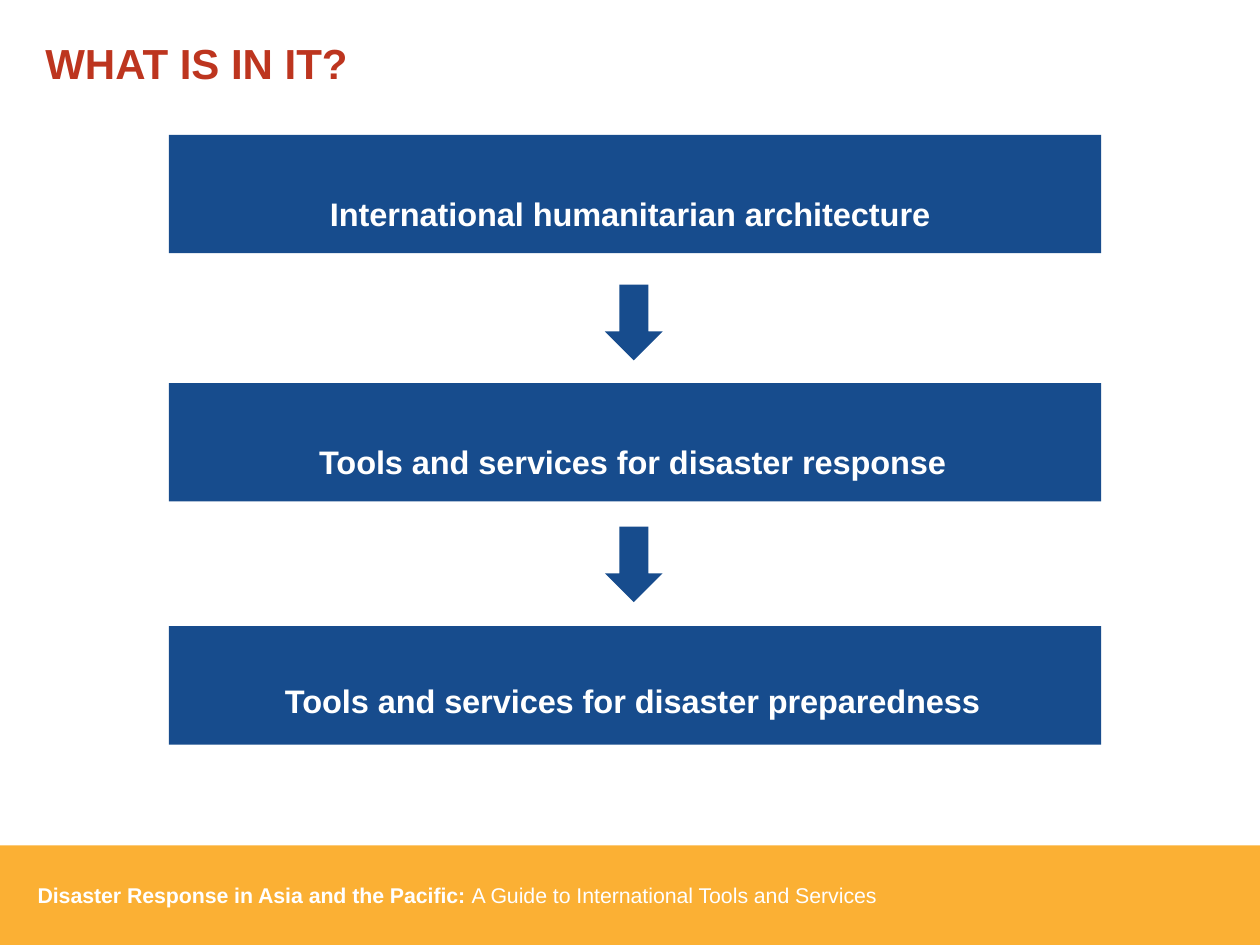
from pptx import Presentation, util as u
from pptx.dml.color import RGBColor
from pptx.enum import shapes, text

BLUE, GOLD, RED, WHITE = "174C8D", "FBB034", "BD351F", "FFFFFF"
WIDE, HIGH = 10, 7.5
TITLE = "WHAT IS IN IT?"
FOOT = [("Disaster Response in Asia and the Pacific: ", True),
        ("A Guide to International Tools and Services", False)]
STEPS = [("International humanitarian architecture", 1.07, 0.37, 8.5, 5),
         ("Tools and services for disaster response", 3.04, 0.37, 9.1, 5.02),
         ("Tools and services for disaster preparedness", 4.97, 0.33, 9.1, 5.02)]
ARROWS = [2.33, 4.25]
MID = 5.03
BOX = 7.4, 0.94
ARROW = 0.6, 0.46
BAND = 0.79


def place(left, top, wide, high):
    return [u.Inches(n) for n in (left, top, wide, high)]


def paint(fill, color):
    fill.solid()
    fill.fore_color.rgb = RGBColor.from_string(color)


def block(kind, at, color):
    shape = slide.shapes.add_shape(kind, *place(*at))
    shape.shadow.inherit = False
    paint(shape.fill, color)
    shape.line.fill.background()
    return shape


def style(run, size, color, bold=True, raised=True):
    font = run.font
    font.name, font.size, font.bold = "Arial", u.Pt(size), bold
    paint(font.fill, color)
    if raised:
        run._r.get_or_add_rPr().set("baseline", "30000")


def label(at, parts, size, align, anchor):
    frame = slide.shapes.add_textbox(*place(*at)).text_frame
    frame.word_wrap = True
    frame.vertical_anchor = anchor
    line = frame.paragraphs[0]
    line.alignment = align
    for words, bold in parts:
        run = line.add_run()
        run.text = words
        style(run, size, WHITE, bold)


def build():
    """Draw the three linked steps, the title and the footer band."""
    rect, arrow = shapes.MSO_SHAPE.RECTANGLE, shapes.MSO_SHAPE.RIGHT_ARROW
    left, center = text.PP_ALIGN.LEFT, text.PP_ALIGN.CENTER
    upper, middle = text.MSO_ANCHOR.TOP, text.MSO_ANCHOR.MIDDLE

    block(rect, (0, HIGH - BAND, WIDE, BAND), GOLD)
    label((0.2, 6.92, 8, 0.45), FOOT, 21, left, middle)

    for words, top, drop, wide, axis in STEPS:
        block(rect, (MID + 0.01 - BOX[0] / 2, top, *BOX), BLUE)
        label((axis - wide / 2, top + drop, wide, 0.46),
              [(words, True)], 32, center, upper)
    for top in ARROWS:
        block(arrow, (MID - ARROW[0] / 2, top, *ARROW), BLUE).rotation = 90

    title = slide.shapes.title
    title.left, title.top, title.width, title.height = place(0.26, 0.25, 9.42, 0.5)
    frame = title.text_frame
    frame.text = TITLE
    frame.auto_size = text.MSO_AUTO_SIZE.NONE
    frame.vertical_anchor = upper
    frame.paragraphs[0].alignment = left
    style(frame.paragraphs[0].runs[0], 24, RED, raised=False)


deck = Presentation()
deck.slide_width, deck.slide_height = u.Inches(WIDE), u.Inches(HIGH)
slide = deck.slides.add_slide(deck.slide_layouts[5])
build()
deck.save("out.pptx")
